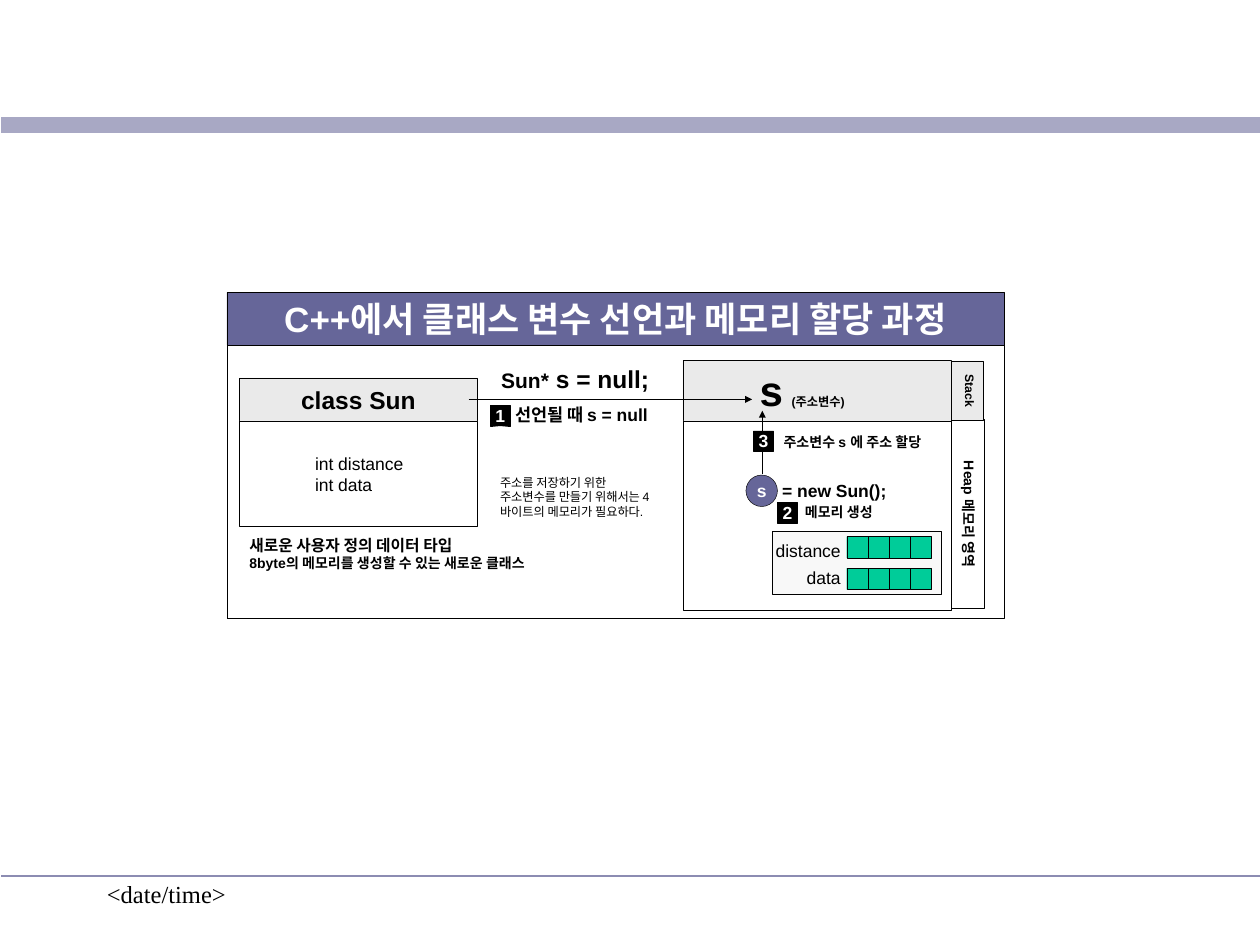
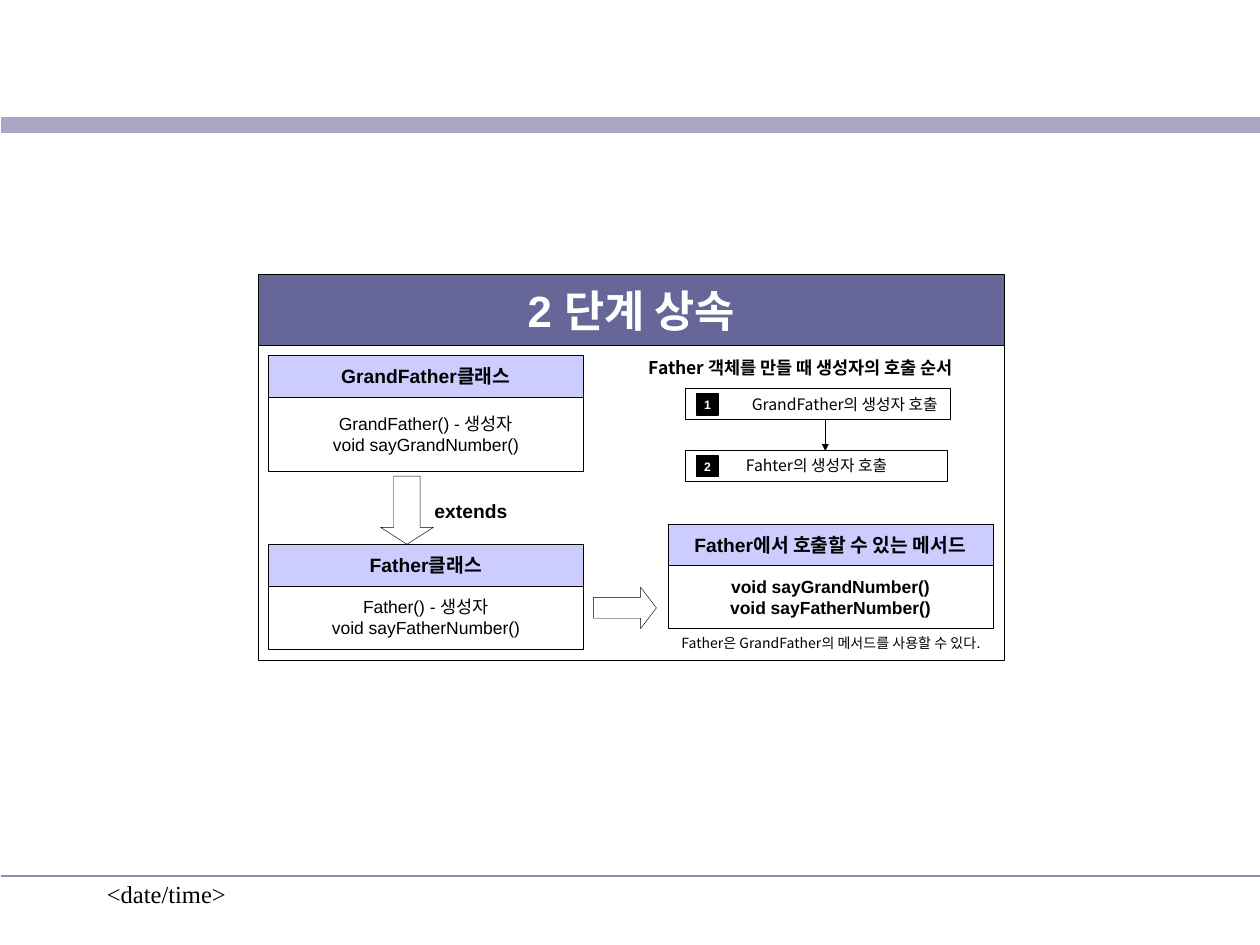
"""Builds two slides on class memory allocation in C++ and two-level inheritance."""
from lxml import etree
from pptx import Presentation
from pptx import util as u
from pptx.dml.color import RGBColor
from pptx.enum import dml, shapes, text
from pptx.oxml.ns import qn

BLACK = RGBColor(0x00, 0x00, 0x00)
WHITE = RGBColor(0xFF, 0xFF, 0xFF)
INDIGO = RGBColor(0x66, 0x66, 0x99)
BAND = RGBColor(0xA8, 0xA8, 0xC4)
RULE = RGBColor(0x8C, 0x8C, 0xB2)
LILAC = RGBColor(0xCC, 0xCC, 0xFF)
GREY = RGBColor(0xEA, 0xEA, 0xEA)
PALE = RGBColor(0xF8, 0xF8, 0xF8)
GREEN = RGBColor(0x00, 0xCC, 0x99)
SANS, KOREAN, SERIF = "Arial", "Noto Sans CJK KR", "Times New Roman"
LEFT, CENTER, RIGHT = text.PP_ALIGN.LEFT, text.PP_ALIGN.CENTER, text.PP_ALIGN.RIGHT
TOP, MIDDLE = text.MSO_ANCHOR.TOP, text.MSO_ANCHOR.MIDDLE
RECT = shapes.MSO_SHAPE.RECTANGLE

prs = Presentation()
prs.slide_width, prs.slide_height = u.Inches(10), u.Inches(7.5)
COL, ROW = prs.slide_width / 100, prs.slide_height / 75


def box(s, x, y, w, h, lines=(), size=10, bold=False, color=BLACK, font=SANS,
        align=LEFT, anchor=TOP, fill=None, line=None, kind=None, pad=1):
    place = [round(v) for v in (x * COL, y * ROW, w * COL, h * ROW)]
    if kind is None:
        sp = s.shapes.add_textbox(*place)
    else:
        sp = s.shapes.add_shape(kind, *place)
        sp.shadow.inherit = False
        if fill is None:
            sp.fill.background()
        else:
            sp.fill.solid()
            sp.fill.fore_color.rgb = fill
        sp.line.color.rgb = BLACK
        sp.line.width = u.Pt(line)
    tf = sp.text_frame
    tf.word_wrap, tf.vertical_anchor = True, anchor
    tf.margin_left = tf.margin_right = round(pad * COL)
    tf.margin_top = tf.margin_bottom = round(pad * ROW / 2)
    for i, runs in enumerate(lines):
        p = tf.add_paragraph() if i else tf.paragraphs[0]
        p.alignment = align
        p.font.name, p.font.size, p.font.bold = font, u.Pt(size), bold
        p.font.color.rgb = color
        for run_text, run_size in [(runs, None)] if isinstance(runs, str) else runs:
            r = p.add_run()
            r.text = run_text
            if run_size:
                r.font.size = u.Pt(run_size)
    return sp


def rule(s, x1, y1, x2, y2, color, width, arrow=False):
    cn = s.shapes.add_connector(shapes.MSO_CONNECTOR.STRAIGHT, round(x1 * COL),
                                round(y1 * ROW), round(x2 * COL), round(y2 * ROW))
    cn.line.color.rgb = color
    cn.line.width = u.Pt(width)
    if arrow:
        etree.SubElement(cn.line._get_or_add_ln(), qn("a:tailEnd"), type="triangle",
                         w="sm", len="sm")
    etree.SubElement(cn._element.spPr, qn("a:effectLst"))


slides = []
for heading, size, x, y, w, h in (
        ("C++에서 클래스 변수 선언과 메모리 할당 과정", 20, 18, 23.2, 61.7, 4.2),
        ("2 단계 상속", 25, 20.5, 21.8, 59.2, 5.6)):
    s = prs.slides.add_slide(prs.slide_layouts[5])
    title = s.shapes.title
    title.left, title.top = round(x * COL), round(y * ROW)
    title.width, title.height = round(w * COL), round(h * ROW)
    title.fill.solid()
    title.fill.fore_color.rgb = INDIGO
    title.line.color.rgb = BLACK
    title.line.width = u.Pt(0.25)
    tf = title.text_frame
    tf.text = heading
    tf.auto_size, tf.word_wrap = text.MSO_AUTO_SIZE.NONE, True
    tf.vertical_anchor = MIDDLE
    p = tf.paragraphs[0]
    p.alignment = CENTER
    p.font.name, p.font.size, p.font.bold = SANS, u.Pt(size), True
    p.font.color.rgb = WHITE
    rule(s, 0.1, 9.9, 100, 9.9, BAND, 9.25)
    rule(s, 0.1, 69.5, 100, 69.5, RULE, 1)
    box(s, 7.5, 69.3, 20.8, 5, ["<date/time>"], 14, font=SERIF)
    slides.append(s)
memory, inheritance = slides

outline = {"kind": RECT, "line": 0.25}
centred = {"align": CENTER, "anchor": MIDDLE}
badge = {"kind": RECT, "fill": BLACK, "color": WHITE, "bold": True, "pad": 0, **centred}

s = memory
frame = box(s, 18, 27.4, 61.7, 21.7, **outline)
frame.line.dash_style = dml.MSO_LINE.ROUND_DOT
box(s, 54.2, 28.6, 21.3, 4.8, fill=GREY, **outline)
box(s, 54.2, 33.4, 21.3, 15, fill=WHITE, **outline)
box(s, 19, 30, 18.9, 3.4, ["class Sun"], 14, True, fill=GREY, **outline, **centred)
fields = box(s, 19, 33.4, 18.9, 8.4, ["int distance", "int data"], anchor=MIDDLE,
             fill=WHITE, **outline)
fields.text_frame.margin_left = round(6 * COL)
box(s, 18.8, 42, 26.2, 3.9, [[("새로운 사용자 정의 데이터 타입", 9)],
                             "8byte의 메모리를 생성할 수 있는 새로운 클래스"], 8, True)
box(s, 38.7, 37.2, 14.2, 4.5,
    ["주소를 저장하기 위한 주소변수를 만들기 위해서는 4바이트의 메모리가 필요하다."], 7)
box(s, 61.3, 42.2, 13.4, 5, fill=PALE, **outline)
for field, label_y, y in (("distance", 42.4, 42.6), ("data", 44.5, 45.1)):
    box(s, 57.7, label_y, 10, 2.7, [field], align=RIGHT)
    for byte in range(4):
        box(s, 67.2 + byte * 1.68, y, 1.68, 1.7, fill=GREEN, **outline)
rule(s, 60.5, 37.6, 60.5, 32.6, BLACK, 0.25, True)
rule(s, 37.2, 31.7, 59.7, 31.7, BLACK, 0.25, True)
box(s, 59.2, 37.7, 2.5, 2.5, ["s"], 10, True, WHITE, fill=INDIGO, line=0.25,
    kind=shapes.MSO_SHAPE.OVAL, pad=0, **centred)
box(s, 59.3, 28.4, 12, 5, [[("s", 24), (" ", 18), ("(주소변수)", 7)]], 7, True)
for label, size, x, y, w, h in (
        ([("Sun*", 12), (" s = null;", 14)], 14, 38.8, 28.4, 15.4, 3.4),
        ("선언될 때 s = null", 10, 39.9, 31.6, 15, 2.7),
        ("= new Sun();", 10, 61.1, 37.6, 13, 2.7),
        ("주소변수 s 에 주소 할당", 8, 61.2, 33.9, 15.5, 2.4),
        ("메모리 생성", 8, 62.9, 39.5, 10, 2.4)):
    box(s, x, y, w, h, [label], size, True)
for number, x, y in (("1", 38.9, 32.2), ("2", 61.7, 39.9), ("3", 59.8, 34.2)):
    box(s, x, y, 1.6, 1.6, [number], 10, line=0.25, **badge)
for area, size, x, y, w, fill in (("Heap 메모리 영역", 8, 69.3, 39.5, 15, WHITE),
                                  ("Stack", 7, 74.4, 29.7, 4.7, GREY)):
    tab = box(s, x, y, w, 2.6, [area], size, True, align=CENTER, fill=fill, **outline)
    tab.rotation = 90

s = inheritance
box(s, 20.5, 27.4, 59.2, 25, **outline)
for name, methods, bold, x, y, w, h in (
        ("GrandFather클래스", ["GrandFather() - 생성자", "void sayGrandNumber()"],
         False, 21.3, 28.2, 25, 5.9),
        ("Father클래스", ["Father() - 생성자", "void sayFatherNumber()"],
         False, 21.3, 43.2, 25, 5),
        ("Father에서 호출할 수 있는 메서드",
         ["void sayGrandNumber()", "void sayFatherNumber()"],
         True, 53, 41.6, 25.8, 5)):
    box(s, x, y, w, 3.3, [name], 11, True, fill=LILAC, **outline, **centred)
    box(s, x, y + 3.3, w, h, methods, 10, bold, fill=WHITE, **outline, **centred)
for kind, head, x, y, w, h in ((shapes.MSO_SHAPE.DOWN_ARROW, 0.32, 30.2, 37.8, 4.2, 5.4),
                               (shapes.MSO_SHAPE.RIGHT_ARROW, 0.38, 47.1, 46.6, 5, 3.3)):
    arrow = box(s, x, y, w, h, fill=WHITE, line=0.25, kind=kind)
    arrow.adjustments[1] = head
box(s, 33.5, 39.1, 10, 2.9, ["extends"], 11, True)
box(s, 50.5, 27.5, 28.5, 3.3, ["Father 객체를 만들 때 생성자의 호출 순서"], 10, True,
    font=KOREAN, anchor=MIDDLE)
box(s, 53.1, 49.9, 29, 2.4, ["Father은 GrandFather의 메서드를 사용할 수 있다."], 8,
    font=KOREAN)
for number, call, align, y, w in (
        ("1", "GrandFather의 생성자 호출", RIGHT, 30.8, 21),
        ("2", "Fahter의 생성자 호출", CENTER, 35.7, 20.8)):
    box(s, 54.4, y, w, 2.5, [call], 9, font=KOREAN, align=align, **outline)
    box(s, 55.3, y + 0.45, 1.7, 1.7, [number], 7, line=0.75, **badge)
rule(s, 65.5, 33.3, 65.5, 35.8, BLACK, 0.75, True)

prs.save("out.pptx")
